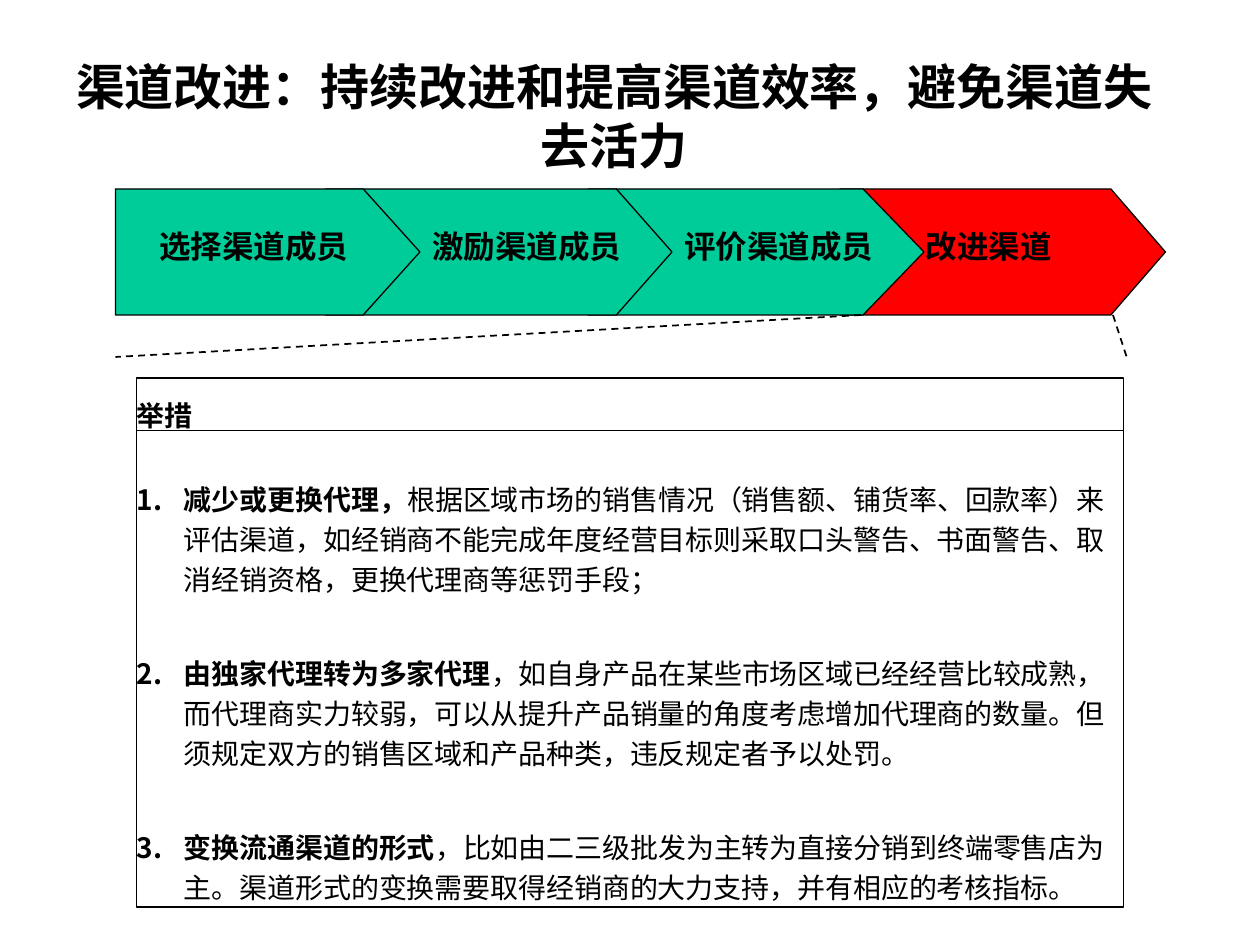
from lxml import etree
from pptx import Presentation
from pptx import util as u
from pptx.dml.color import RGBColor
from pptx.enum import dml, shapes, text
from pptx.oxml.ns import qn

PX = 7620  # EMU per px, 120 px to the inch
COLORS = {"ink": "000000", "step": "00CC99", "current": "FF0000"}
SERIF, SANS = "Times New Roman", "Noto Sans CJK SC"
ink = RGBColor.from_string(COLORS["ink"])

prs = Presentation()
prs.slide_width, prs.slide_height = 1200 * PX, 900 * PX
slide = prs.slides.add_slide(prs.slide_layouts[6])


def style(run, size, face, bold=True):
    run.font.size, run.font.name, run.font.bold = u.Pt(size), face, bold
    run.font.color.rgb = ink
    if face == SANS:
        etree.SubElement(run._r.get_or_add_rPr(), qn("a:ea")).set("typeface", face)


def rule(x1, y1, x2, y2, dashed):
    line = slide.shapes.add_connector(
        shapes.MSO_CONNECTOR.STRAIGHT, x1 * PX, y1 * PX, x2 * PX, y2 * PX)
    line.line.color.rgb, line.line.width = ink, u.Pt(1)
    if dashed:
        line.line.dash_style = dml.MSO_LINE.DASH
    etree.SubElement(line._element.spPr, qn("a:effectLst"))


# Process arrows, last step at the back: left, shoulder, tip, colour
steps = [
    (800, 1058, 1110, "current"),
    (560, 822, 880, "step"),
    (310, 587, 640, "step"),
    (110, 346, 400, "step"),
]
for left, shoulder, tip, color in steps:
    outline = slide.shapes.build_freeform(left, 180, scale=PX)
    outline.add_line_segments(
        [(shoulder, 180), (tip, 240), (shoulder, 300), (left, 300)], close=True)
    arrow = outline.convert_to_shape()
    arrow.shadow.inherit = False
    arrow.fill.solid()
    arrow.fill.fore_color.rgb = RGBColor.from_string(COLORS[color])
    arrow.line.color.rgb, arrow.line.width = ink, u.Pt(0.75)

# Title
title = slide.shapes.add_textbox(60 * PX, 50 * PX, 1050 * PX, 120 * PX).text_frame
title.word_wrap = True
title.vertical_anchor = text.MSO_ANCHOR.MIDDLE
title.text = "渠道改进：持续改进和提高渠道效率，避免渠道失去活力"
title.paragraphs[0].alignment = text.PP_ALIGN.CENTER
style(title.paragraphs[0].runs[0], 28, SERIF)

# Step labels
labels = [(140, "选择渠道成员"), (400, "激励渠道成员"),
          (640, "评价渠道成员"), (870, "改进渠道")]
for left, name in labels:
    label = slide.shapes.add_textbox(left * PX, 210 * PX, 210 * PX, 48 * PX).text_frame
    label.word_wrap = True
    label.text = name
    style(label.paragraphs[0].runs[0], 18, SERIF)

# Dashed lines from the current step to the details
rule(1060, 300, 1074, 343, True)
rule(820, 300, 110, 340, True)

# Measures box
box = slide.shapes.add_shape(
    shapes.MSO_SHAPE.RECTANGLE, 130 * PX, 360 * PX, 940 * PX, 504 * PX)
box.shadow.inherit = False
box.fill.background()
box.line.color.rgb, box.line.width = ink, u.Pt(0.75)
measures = box.text_frame
measures.word_wrap = True
measures.vertical_anchor = text.MSO_ANCHOR.TOP
measures.margin_left = measures.margin_right = 0
measures.margin_top = measures.margin_bottom = 0

heading = measures.paragraphs[0]
heading.text = "举措"
heading.alignment = text.PP_ALIGN.LEFT
heading.line_spacing = 1.6
style(heading.runs[0], 16, SANS)

items = [
    ("减少或更换代理，",
     "根据区域市场的销售情况（销售额、铺货率、回款率）来评估渠道，如经销商不能完成年度经营目标则采取口头警告、书面警告、取消经销资格，更换代理商等惩罚手段；"),
    ("由独家代理转为多家代理",
     "，如自身产品在某些市场区域已经经营比较成熟，而代理商实力较弱，可以从提升产品销量的角度考虑增加代理商的数量。但须规定双方的销售区域和产品种类，违反规定者予以处罚。"),
    ("变换流通渠道的形式",
     "，比如由二三级批发为主转为直接分销到终端零售店为主。渠道形式的变换需要取得经销商的大力支持，并有相应的考核指标。"),
]
for i, (lead, detail) in enumerate(items):
    item = measures.add_paragraph()
    item.alignment = text.PP_ALIGN.LEFT
    item.line_spacing = 1.2
    item.space_before = u.Pt(30.5 if i else 25)
    props = item._p.get_or_add_pPr()
    props.set("marL", str(45 * PX))
    props.set("indent", str(-45 * PX))
    etree.SubElement(props, qn("a:buFont")).set("typeface", SANS)
    etree.SubElement(props, qn("a:buAutoNum")).set("type", "arabicPeriod")
    for words, bold in ((lead, True), (detail, False)):
        run = item.add_run()
        run.text = words
        style(run, 16, SANS, bold)

# Line under the heading
rule(130, 410, 1070, 410, False)

prs.save("out.pptx")
